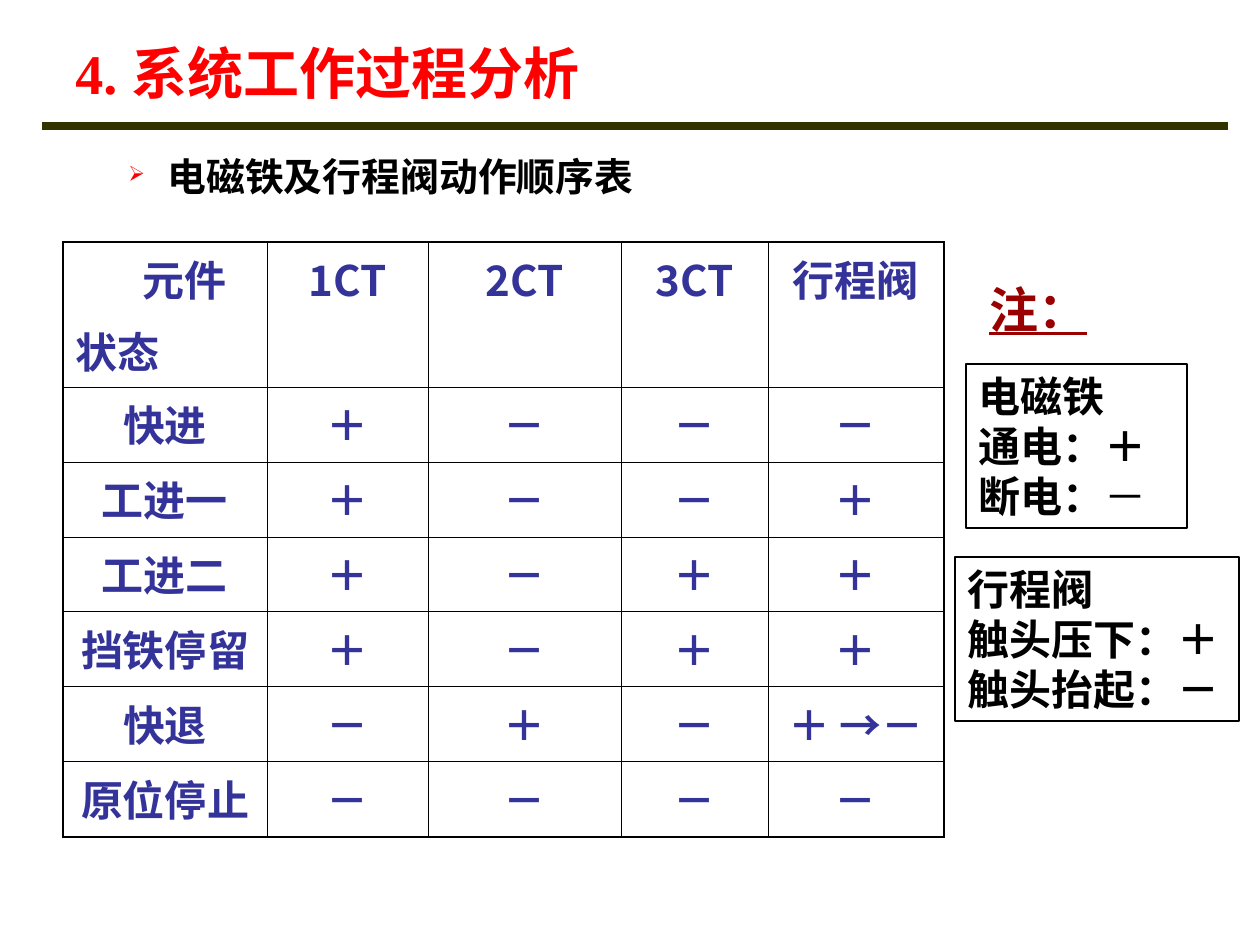
from lxml import etree
from pptx import Presentation
from pptx import util as u
from pptx.dml.color import RGBColor
from pptx.enum import shapes, text
from pptx.oxml import ns

SCALE = 914400 / 126
BLACK = RGBColor(0x00, 0x00, 0x00)
RED = RGBColor(0xFF, 0x00, 0x00)
DARK_RED = RGBColor(0x99, 0x00, 0x00)
OLIVE = RGBColor(0x33, 0x33, 0x00)
INDIGO = RGBColor(0x33, 0x33, 0x99)
SANS = "Noto Sans CJK SC"
LATIN = "Cabin"


def px(length):
    return u.Emu(round(length * SCALE))


def write(para, words, size=24, font=SANS, asian=LATIN, color=BLACK, bold=True, underline=False):
    span = para.add_run()
    span.text = words
    span.font.size = u.Pt(size)
    span.font.name = font
    span.font.bold = bold
    span.font.underline = underline
    span.font.color.rgb = color
    etree.SubElement(span.font._element, ns.qn("a:ea"), typeface=asian)


deck = Presentation()
deck.slide_width, deck.slide_height = px(1260), px(945)
page = deck.slides.add_slide(deck.slide_layouts[6])

subtitle = page.shapes.add_textbox(px(53), px(147), px(693), px(63))
subtitle.text_frame.word_wrap = True
para = subtitle.text_frame.paragraphs[0]
props = para._p.get_or_add_pPr()
props.set("marL", str(px(102)))
props.set("indent", str(px(-39)))
bullet_color = etree.SubElement(props, ns.qn("a:buClr"))
etree.SubElement(bullet_color, ns.qn("a:srgbClr"), val=str(RED))
etree.SubElement(props, ns.qn("a:buSzPct"), val="55000")
etree.SubElement(props, ns.qn("a:buChar"), char="➢")
write(para, "电磁铁及行程阀动作顺序表", size=22.2, font=LATIN)

column_widths = [204, 161, 193, 147, 176]
row_heights = [145] + [75] * 6
rows = [
    ["元件\n状态", "1CT", "2CT", "3CT", "行程阀"],
    ["快进", "＋", "－", "－", "－"],
    ["工进一", "＋", "－", "－", "＋"],
    ["工进二", "＋", "－", "＋", "＋"],
    ["挡铁停留", "＋", "－", "＋", "＋"],
    ["快退", "－", "＋", "－", "＋ →－"],
    ["原位停止", "－", "－", "－", "－"],
]
last_row, last_column = len(rows) - 1, len(column_widths) - 1
table = page.shapes.add_table(
    len(rows), len(column_widths), px(63), px(242), px(sum(column_widths)), px(sum(row_heights))
).table
table.first_row = False
table.horz_banding = False
for column, width in zip(table.columns, column_widths):
    column.width = px(width)
for r, (row, height) in enumerate(zip(rows, row_heights)):
    table.rows[r].height = px(height)
    for c, words in enumerate(row):
        cell = table.cell(r, c)
        cell.fill.background()
        for i, line in enumerate(words.split("\n")):
            frame = cell.text_frame
            para = frame.add_paragraph() if i else frame.paragraphs[0]
            if i:
                para.space_before = u.Pt(6)
            if (r, c) != (0, 0):
                para.alignment = text.PP_ALIGN.CENTER
            write(para, line, asian=SANS, color=INDIGO)
        cell_props = cell._tc.get_or_add_tcPr()
        outer_sides = {"lnL": c == 0, "lnR": c == last_column, "lnT": r == 0, "lnB": r == last_row}
        for i, (side, outer) in enumerate(outer_sides.items()):
            border = etree.Element(ns.qn(f"a:{side}"), w=str(u.Pt(1.08 if outer else 0.45)))
            fill = etree.SubElement(border, ns.qn("a:solidFill"))
            etree.SubElement(fill, ns.qn("a:srgbClr"), val=str(BLACK))
            cell_props.insert(i, border)
corner = table.cell(0, 0).text_frame.paragraphs[0]
corner._p.get_or_add_pPr().set("marL", str(px(67)))

legends = [
    (955, 557, 284, ["行程阀", "触头压下：＋", "触头抬起：－"]),
    (966, 364, 221, ["电磁铁", "通电：＋", "断电："]),
]
for left, top, width, lines in legends:
    box = page.shapes.add_shape(shapes.MSO_SHAPE.RECTANGLE, px(left), px(top), px(width), px(164))
    box.shadow.inherit = False
    box.fill.background()
    box.line.color.rgb = BLACK
    box.line.width = u.Pt(0.75)
    frame = box.text_frame
    frame.word_wrap = True
    frame.vertical_anchor = text.MSO_ANCHOR.TOP
    for i, line in enumerate(lines):
        para = frame.add_paragraph() if i else frame.paragraphs[0]
        para.alignment = text.PP_ALIGN.LEFT
        write(para, line)
write(para, "－", bold=False)

rule = page.shapes.add_connector(shapes.MSO_CONNECTOR.STRAIGHT, px(42), px(126), px(1228), px(126))
rule.line.color.rgb = OLIVE
rule.line.width = u.Pt(4.5)
etree.SubElement(rule._element.spPr, ns.qn("a:effectLst"))

title = page.shapes.add_textbox(px(63), px(32), px(567), px(81))
title.text_frame.word_wrap = True
write(title.text_frame.paragraphs[0], "4. 系统工作过程分析", size=32, font="Times New Roman", color=RED)

note = page.shapes.add_textbox(px(977), px(273), px(122), px(72))
note.text_frame.word_wrap = False
write(note.text_frame.paragraphs[0], "注：", size=28, color=DARK_RED, underline=True)

deck.save("out.pptx")
